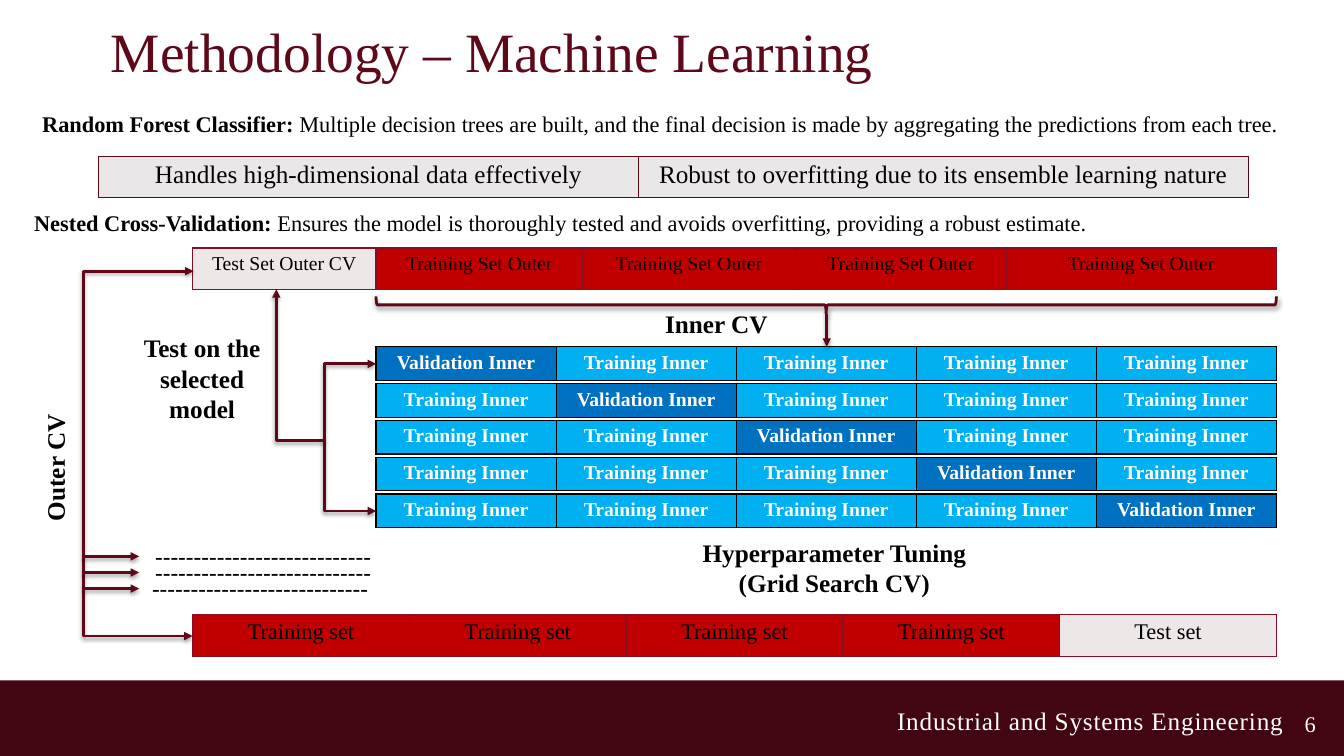
from lxml import etree
from pptx import Presentation
from pptx.dml.color import RGBColor
from pptx.enum.shapes import MSO_CONNECTOR, MSO_SHAPE
from pptx.enum.text import MSO_ANCHOR, PP_ALIGN
from pptx.oxml.ns import qn
from pptx.util import Inches, Pt

SERIF = "Times New Roman"
MAROON, CRIMSON, DARK = "5E091A", "890C25", "410611"
RED, PALE, GREY = "C00000", "EDE7E8", "EAE7E8"
CYAN, BLUE = "00B0F0", "0070C0"
BLACK, WHITE = "000000", "FFFFFF"


def rgb(value):
    return RGBColor.from_string(value)


def box(*lengths):
    return [Inches(v) for v in lengths]


def set_font(p, size, color=BLACK, name=SERIF, bold=None):
    p.font.size, p.font.name, p.font.bold = Pt(size), name, bold
    p.font.color.rgb = rgb(color)


def add_text(s, at, text, size=18, color=BLACK, name=SERIF, bold=None,
             align=PP_ALIGN.LEFT, wrap=True, lead=None):
    """Add a text box; lead is an optional bold opening run."""
    shape = s.shapes.add_textbox(*box(*at))
    tf = shape.text_frame
    tf.word_wrap = wrap
    p = tf.paragraphs[0]
    p.alignment = align
    set_font(p, size, color, name, bold)
    if lead:
        r = p.add_run()
        r.text, r.font.bold = lead, True
    p.add_run().text = text
    return shape


def add_label(s, at, text, wrap=True):
    return add_text(s, at, text, bold=True, align=PP_ALIGN.CENTER, wrap=wrap)


def set_border(cell, color):
    tc_pr = cell._tc.get_or_add_tcPr()
    for side in ("lnL", "lnR", "lnT", "lnB"):
        ln = etree.SubElement(tc_pr, qn("a:" + side), w=str(Pt(1)))
        fill = etree.SubElement(ln, qn("a:solidFill"))
        etree.SubElement(fill, qn("a:srgbClr"), val=color)


def add_row_table(s, left, top, widths, cells, size, border,
                  height=0.41, color=BLACK, bold=False):
    """Add a one-row table; cells are (text, fill) pairs."""
    at = box(left, top, sum(widths), height)
    table = s.shapes.add_table(1, len(cells), *at).table
    table.first_row = table.horz_banding = False
    for i, (text, fill) in enumerate(cells):
        table.columns[i].width = Inches(widths[i])
        cell = table.cell(0, i)
        set_border(cell, border)
        cell.fill.solid()
        cell.fill.fore_color.rgb = rgb(fill)
        cell.text = text
        p = cell.text_frame.paragraphs[0]
        p.alignment = PP_ALIGN.CENTER
        set_font(p, size, color, bold=bold)


def style_line(shape, head=False, tail=False):
    """Give a maroon line, its arrowheads and a soft shadow below it."""
    shape.line.color.rgb = rgb(MAROON)
    shape.line.width = Pt(2)
    ln = shape.line._get_or_add_ln()
    for tag, wanted in (("a:headEnd", head), ("a:tailEnd", tail)):
        if wanted:
            etree.SubElement(ln, qn(tag), type="triangle")
    effects = etree.SubElement(shape._element.spPr, qn("a:effectLst"))
    shadow = etree.SubElement(effects, qn("a:outerShdw"), blurRad=str(Pt(3.1)),
                              dist=str(Pt(1.6)), dir="5400000", rotWithShape="0")
    tint = etree.SubElement(shadow, qn("a:srgbClr"), val=BLACK)
    etree.SubElement(tint, qn("a:alpha"), val="38000")


def add_arrow(s, x1, y1, x2, y2):
    line = s.shapes.add_connector(MSO_CONNECTOR.STRAIGHT, *box(x1, y1, x2, y2))
    style_line(line, tail=True)


def add_bent_arrow(s, points, head=False):
    start, *rest = [box(*point) for point in points]
    builder = s.shapes.build_freeform(*start)
    builder.add_line_segments(rest, close=False)
    shape = builder.convert_to_shape()
    shape.fill.background()
    style_line(shape, head=head, tail=True)


def add_footer(s):
    band = s.shapes.add_shape(MSO_SHAPE.RECTANGLE, *box(0, 6.75, 13.33, 0.75))
    band.shadow.inherit = False
    band.fill.solid()
    band.fill.fore_color.rgb = rgb(DARK)
    band.line.fill.background()
    unit = add_text(s, (8.73, 6.95, 4.1, 0.4), "Industrial and Systems Engineering",
                    color=WHITE, align=PP_ALIGN.RIGHT)
    unit.text_frame.paragraphs[0].runs[0].font._element.set("spc", "60")
    number = add_text(s, (12.84, 6.98, 0.57, 0.4), "6", 16, WHITE)
    number.text_frame.vertical_anchor = MSO_ANCHOR.MIDDLE


def add_title(s, text):
    title = s.shapes.title
    title.left, title.top, title.width, title.height = box(1, 0.3, 11.67, 0.4)
    tf = title.text_frame
    tf.text = text
    tf.vertical_anchor = MSO_ANCHOR.MIDDLE
    p = tf.paragraphs[0]
    p.alignment = PP_ALIGN.LEFT
    set_font(p, 39.6, MAROON)


def add_classifier(s):
    add_text(s, (0.32, 1.04, 12.6, 0.37),
             "Multiple decision trees are built, and the final decision is made "
             "by aggregating the predictions from each tree.",
             16, lead="Random Forest Classifier: ")
    add_row_table(s, 0.98, 1.55, [5.35, 6.05],
                  [("Handles high-dimensional data effectively", GREY),
                   ("Robust to overfitting due to its ensemble learning nature", GREY)],
                  18, MAROON)


def add_outer_cv(s):
    add_text(s, (0.24, 2.03, 13, 0.37),
             "Ensures the model is thoroughly tested and avoids overfitting, "
             "providing a robust estimate.",
             16, lead="Nested Cross-Validation: ")
    add_row_table(s, 1.91, 2.46, [1.82, 2.05, 2.11, 2.09, 2.68],
                  [("Test Set Outer CV", PALE)] + [("Training Set Outer", RED)] * 4,
                  14, CRIMSON)
    add_row_table(s, 1.91, 6.1, [2.15] * 5,
                  [("Training set", RED)] * 4 + [("Test set", PALE)], 16, CRIMSON)
    add_bent_arrow(s, [(1.92, 2.69), (0.83, 2.69), (0.83, 6.31), (1.91, 6.31)],
                   head=True)
    for y, left in ((5.52, 1.44), (5.68, 1.44), (5.84, 1.41)):
        add_arrow(s, 0.83, y, 1.38, y)
        add_text(s, (left, y - 0.2, 2.36, 0.4), "-" * 28, name="Calibri", wrap=False)
    add_label(s, (-0.09, 4.44, 1.27, 0.4), "Outer CV", wrap=False).rotation = 270


def add_inner_cv(s, folds=5):
    for fold in range(folds):
        cells = [("Validation Inner", BLUE) if i == fold else ("Training Inner", CYAN)
                 for i in range(folds)]
        add_row_table(s, 3.73, 3.44 + 0.365 * fold, [1.786] * folds, cells, 14, BLACK,
                      height=0.33, color=WHITE, bold=True)
    add_bent_arrow(s, [(3.73, 5.07), (3.22, 5.07), (3.22, 3.61), (3.73, 3.61)],
                   head=True)
    add_bent_arrow(s, [(3.22, 4.37), (2.74, 4.37), (2.74, 2.87)])
    brace = s.shapes.add_shape(MSO_SHAPE.LEFT_BRACE, *box(8.11, -1.44, 0.17, 8.93))
    brace.rotation = 270
    brace.fill.background()
    style_line(brace)
    add_arrow(s, 8.2, 3.12, 8.2, 3.44)
    add_label(s, (6.49, 3.01, 1.23, 0.4), "Inner CV", wrap=False)
    add_label(s, (1.22, 3.25, 1.57, 1.01), "Test on the selected model")
    add_label(s, (6.62, 5.28, 3.31, 0.71), "Hyperparameter Tuning (Grid Search CV)")


def main():
    prs = Presentation()
    prs.slide_width, prs.slide_height = box(13.33, 7.5)
    s = prs.slides.add_slide(prs.slide_layouts[5])
    add_footer(s)
    add_title(s, "Methodology – Machine Learning")
    add_classifier(s)
    add_outer_cv(s)
    add_inner_cv(s)
    prs.save("out.pptx")


if __name__ == "__main__":
    main()
